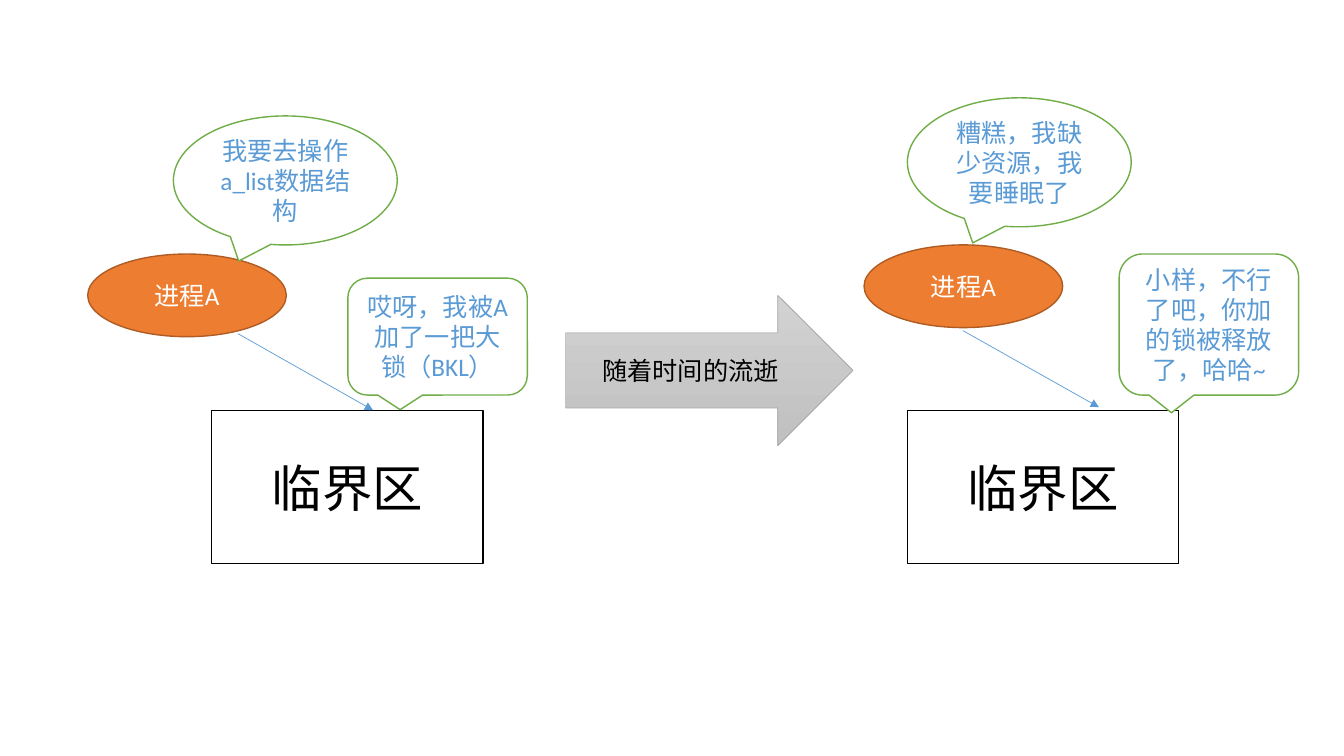
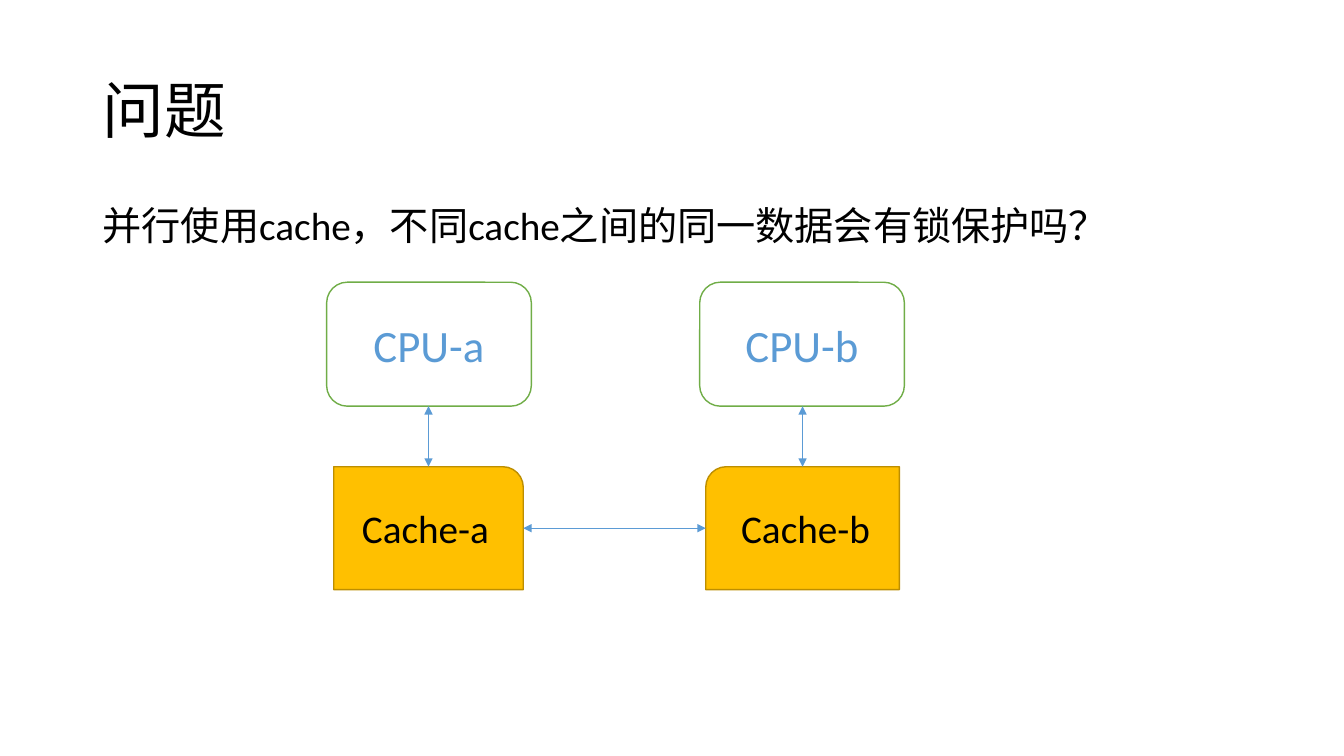
from dataclasses import dataclass

from lxml import etree
from pptx import Presentation
from pptx.dml.color import RGBColor
from pptx.enum import shapes, text
from pptx.oxml import ns
from pptx.util import Inches, Pt

KIND = shapes.MSO_SHAPE

# Content: boxes are (left, top, width, height), lines are (x1, y1, x2, y2)
SCENES = [
    {
        "zone": ("临界区", (2.1, 4.07, 2.69, 1.52)),
        "process": ("进程A", (0.87, 2.52, 1.97, 0.82)),
        "entry": (2.36, 3.31, 3.7, 4.07),
        "thought": ("我要去操作a_list数据结构", (1.72, 1.15, 2.22, 1.28)),
        "reply": ("哎呀，我被A加了一把大锁（BKL）", (3.45, 2.76, 1.78, 1.16)),
    },
    {
        "zone": ("临界区", (9, 4.07, 2.69, 1.52)),
        "process": ("进程A", (8.57, 2.43, 1.97, 0.82)),
        "entry": (9.55, 3.28, 10.9, 4.04),
        "thought": ("糟糕，我缺少资源，我要睡眠了", (9, 0.97, 2.22, 1.28)),
        "reply": ("小样，不行了吧，你加的锁被释放了，哈哈~", (11.1, 2.52, 1.78, 1.4)),
    },
]
PASSAGE = ("随着时间的流逝", (5.61, 2.93, 2.85, 1.49))

TITLE = ("问题", (0.92, 0.4, 11.5, 1.45))
QUESTION = ("并行使用cache，不同cache之间的同一数据会有锁保护吗？", (0.92, 2, 11.5, 0.54))
CPU_TOP, CPU_WIDTH, CPU_HEIGHT = 2.8, 2.03, 1.23
CACHE_TOP, CACHE_HEIGHT = 4.63, 1.22
# CPU label, CPU left, cache label, cache left, cache width, mirrored cache
CORES = [
    ("CPU-a", 3.24, "Cache-a", 3.31, 1.88, False),
    ("CPU-b", 6.94, "Cache-b", 7, 1.92, True),
]


@dataclass(frozen=True)
class Theme:
    """Font, colours and type sizes shared by the slides."""
    font: str = "Calibri"
    ink: str = "000000"
    paper: str = "FFFFFF"
    blue: str = "5B9BD5"
    green: str = "70AD47"
    orange: str = "ED7D31"
    orange_edge: str = "AF5C24"
    gold: str = "FFC000"
    gold_edge: str = "BD8E00"
    gray_light: str = "D2D2D2"
    gray_dark: str = "C0C0C0"
    gray_edge: str = "A5A5A5"
    small: int = 18
    medium: int = 28
    large: int = 32
    huge: int = 36
    title: int = 44


THEME = Theme()

# Style: fill, edge, text colour, text size
ZONE = (THEME.paper, THEME.ink, THEME.ink, THEME.huge)
PROCESS = (THEME.orange, THEME.orange_edge, THEME.paper, THEME.small)
SPEECH = (THEME.paper, THEME.green, THEME.blue, THEME.small)
ARROW = (THEME.gray_light, THEME.gray_edge, THEME.ink, THEME.small)
CPU = (THEME.paper, THEME.green, THEME.blue, THEME.large)
CACHE = (THEME.gold, THEME.gold_edge, THEME.ink, THEME.medium)


def rgb(code):
    """Turn a hex code into a colour."""
    return RGBColor.from_string(code)


def write(shape, words, color, size, align, anchor):
    """Put one formatted run in a shape and return its paragraph."""
    frame = shape.text_frame
    frame.word_wrap = True
    frame.vertical_anchor = anchor
    para = frame.paragraphs[0]
    para.alignment = align
    span = para.add_run()
    span.text = words
    span.font.name = THEME.font
    span.font.size = Pt(size)
    span.font.color.rgb = rgb(color)
    return para


def add_box(page, kind, label, style, edge_width=1):
    """Draw a filled, outlined shape with centred text."""
    words, place = label
    fill, edge, color, size = style
    box = page.shapes.add_shape(kind, *map(Inches, place))
    box.shadow.inherit = False
    box.fill.solid()
    box.fill.fore_color.rgb = rgb(fill)
    box.line.color.rgb = rgb(edge)
    box.line.width = Pt(edge_width)
    write(box, words, color, size, text.PP_ALIGN.CENTER, text.MSO_ANCHOR.MIDDLE)
    return box


def add_arrow(page, ends, both=False):
    """Draw a thin blue line with a head at its end, or at both ends."""
    arrow = page.shapes.add_connector(
        shapes.MSO_CONNECTOR.STRAIGHT, *map(Inches, ends))
    arrow.line.color.rgb = rgb(THEME.blue)
    arrow.line.width = Pt(0.5)
    outline = arrow.line._get_or_add_ln()
    for tag in ("a:headEnd", "a:tailEnd") if both else ("a:tailEnd",):
        etree.SubElement(outline, ns.qn(tag), type="triangle")
    etree.SubElement(arrow._element.spPr, ns.qn("a:effectLst"))


def add_scene(page, scene):
    """Draw a process entering the critical zone, with both speech bubbles."""
    add_box(page, KIND.RECTANGLE, scene["zone"], ZONE)
    add_box(page, KIND.OVAL, scene["process"], PROCESS)
    add_arrow(page, scene["entry"])
    add_box(page, KIND.OVAL_CALLOUT, scene["thought"], SPEECH)
    add_box(page, KIND.ROUNDED_RECTANGULAR_CALLOUT, scene["reply"], SPEECH)


def build_lock_slide(deck):
    """Show the lock before and after time passes."""
    page = deck.slides.add_slide(deck.slide_layouts[6])
    before, after = SCENES
    add_scene(page, before)
    passage = add_box(page, KIND.RIGHT_ARROW, PASSAGE, ARROW, 0.5)
    passage.fill.gradient()
    passage.fill.gradient_angle = 270
    for stop, code in zip(passage.fill.gradient_stops,
                          (THEME.gray_light, THEME.gray_dark)):
        stop.color.rgb = rgb(code)
    stops = passage.fill.gradient_stops
    stops[0].position, stops[1].position = 0, 1
    add_scene(page, after)


def build_cache_slide(deck):
    """Ask about locking between the caches of two processors."""
    page = deck.slides.add_slide(deck.slide_layouts[5])
    heading = page.shapes.title
    words, place = TITLE
    heading.left, heading.top, heading.width, heading.height = map(Inches, place)
    para = write(heading, words, THEME.ink, THEME.title,
                 text.PP_ALIGN.LEFT, text.MSO_ANCHOR.MIDDLE)
    para.line_spacing = 0.9

    words, place = QUESTION
    question = page.shapes.add_textbox(*map(Inches, place))
    para = write(question, words, THEME.ink, THEME.medium,
                 text.PP_ALIGN.LEFT, text.MSO_ANCHOR.TOP)
    para.line_spacing = 0.9
    para.space_before = Pt(10)

    for cpu, cpu_left, cache, cache_left, cache_width, mirrored in CORES:
        add_box(page, KIND.ROUNDED_RECTANGLE,
                (cpu, (cpu_left, CPU_TOP, CPU_WIDTH, CPU_HEIGHT)), CPU)
        store = add_box(page, KIND.ROUND_1_RECTANGLE,
                        (cache, (cache_left, CACHE_TOP, cache_width, CACHE_HEIGHT)),
                        CACHE)
        if mirrored:
            store._element.spPr.find(ns.qn("a:xfrm")).set("flipH", "1")
        middle = cache_left + cache_width / 2
        add_arrow(page, (middle, CPU_TOP + CPU_HEIGHT, middle, CACHE_TOP), both=True)

    first, second = CORES
    level = CACHE_TOP + CACHE_HEIGHT / 2
    add_arrow(page, (first[3] + first[4], level, second[3], level), both=True)


deck = Presentation()
deck.slide_width, deck.slide_height = Inches(13.33), Inches(7.5)
build_lock_slide(deck)
build_cache_slide(deck)
deck.save("out.pptx")
